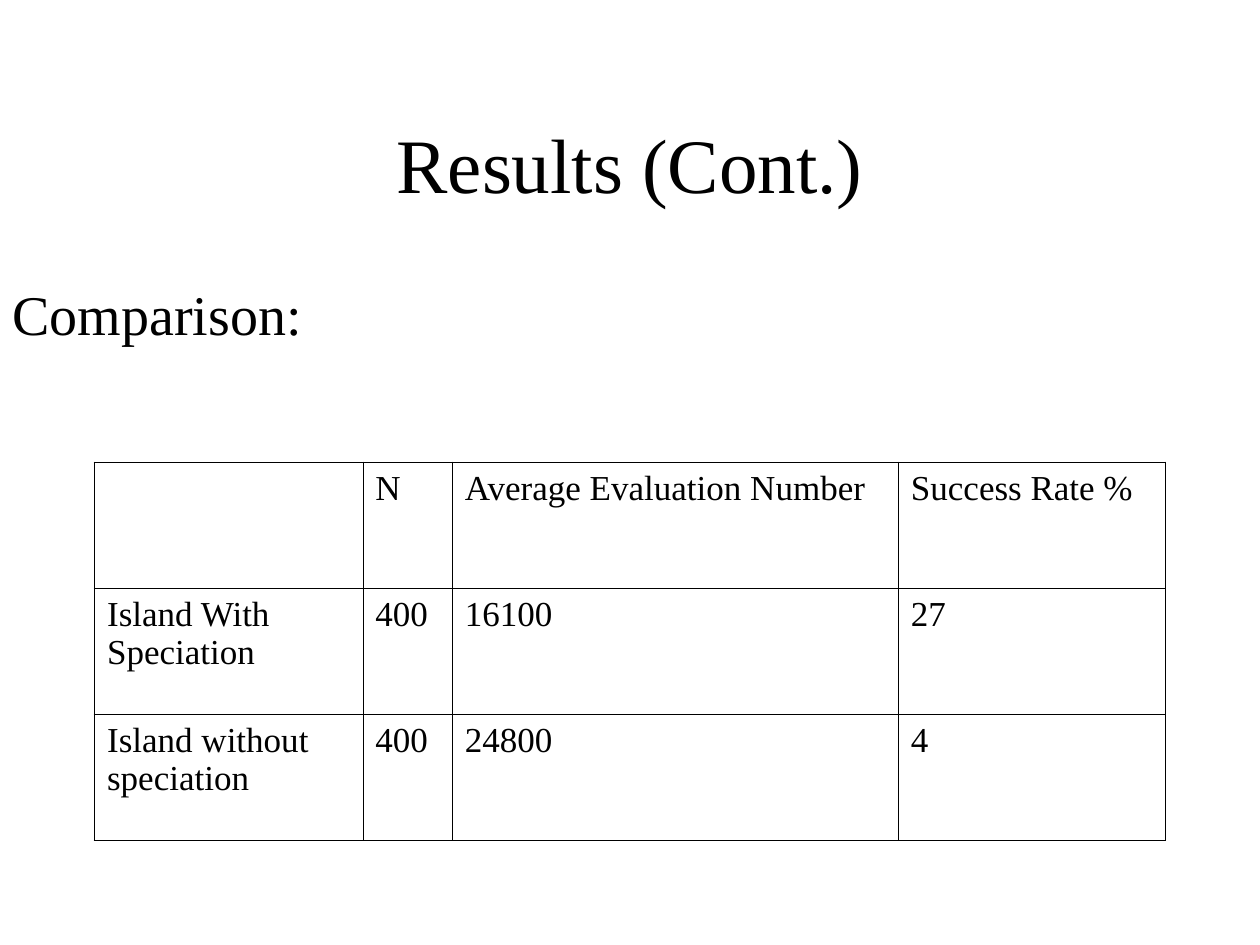
from dataclasses import dataclass

from lxml import etree
from pptx import Presentation
from pptx import util as u
from pptx.dml.color import RGBColor
from pptx.enum import text
from pptx.oxml import ns


@dataclass(frozen=True)
class Theme:
    font: str = "Times New Roman"
    ink: str = "000000"
    paper: str = "FFFFFF"
    title_size: int = 44
    body_size: int = 32
    table_size: int = 20
    inner_line: float = 0.45
    outer_line: float = 1.08


THEME = Theme()
COLUMN_WIDTHS = (2.13, 0.71, 3.54, 2.12)
ROWS = (
    ("", "N", "Average Evaluation Number", "Success Rate %"),
    ("Island With Speciation", "400", "16100", "27"),
    ("Island without speciation", "400", "24800", "4"),
)


def inches(box):
    return [u.Inches(length) for length in box]


def write(text_frame, wording, size, alignment=text.PP_ALIGN.LEFT):
    text_frame.text = wording
    text_frame.word_wrap = True
    paragraph = text_frame.paragraphs[0]
    paragraph.alignment = alignment
    font = paragraph.runs[0].font if paragraph.runs else paragraph.font
    font.name = THEME.font
    font.size = u.Pt(size)
    font.bold = False
    font.color.rgb = RGBColor.from_string(THEME.ink)


def add_title(slide, box):
    title = slide.shapes.title
    title.left, title.top, title.width, title.height = inches(box)
    title.text_frame.vertical_anchor = text.MSO_ANCHOR.MIDDLE
    write(title.text_frame, "Results (Cont.)", THEME.title_size, text.PP_ALIGN.CENTER)


def add_body(slide, box):
    body = slide.shapes.add_textbox(*inches(box))
    write(body.text_frame, "Comparison:", THEME.body_size)


def set_borders(cell, widths):
    """Draw the left, right, top and bottom borders, with widths in points."""
    properties = cell._tc.get_or_add_tcPr()
    for side, width in zip("LRTB", widths):
        line = etree.SubElement(properties, ns.qn(f"a:ln{side}"), w=str(u.Pt(width)))
        fill = etree.SubElement(line, ns.qn("a:solidFill"))
        etree.SubElement(fill, ns.qn("a:srgbClr"), val=THEME.ink)


def add_comparison_table(slide, box):
    row_count, column_count = len(ROWS), len(COLUMN_WIDTHS)
    table = slide.shapes.add_table(row_count, column_count, *inches(box)).table
    table.first_row = table.horz_banding = False
    for column, width in zip(table.columns, COLUMN_WIDTHS):
        column.width = u.Inches(width)
    for row_index, row in enumerate(ROWS):
        for column_index, wording in enumerate(row):
            cell = table.cell(row_index, column_index)
            write(cell.text_frame, wording, THEME.table_size)
            on_edge = (
                column_index == 0,
                column_index == column_count - 1,
                row_index == 0,
                row_index == row_count - 1,
            )
            set_borders(cell, [THEME.outer_line if edge else THEME.inner_line for edge in on_edge])
            cell.fill.solid()
            cell.fill.fore_color.rgb = RGBColor.from_string(THEME.paper)


def main():
    presentation = Presentation()
    presentation.slide_width, presentation.slide_height = inches((10, 7.5))
    slide = presentation.slides.add_slide(presentation.slide_layouts[5])
    add_title(slide, (0.75, 0.67, 8.5, 1.25))
    add_body(slide, (0, 2.17, 8.5, 4.5))
    add_comparison_table(slide, (0.75, 3.67, 8.5, 3))
    presentation.save("out.pptx")


if __name__ == "__main__":
    main()
